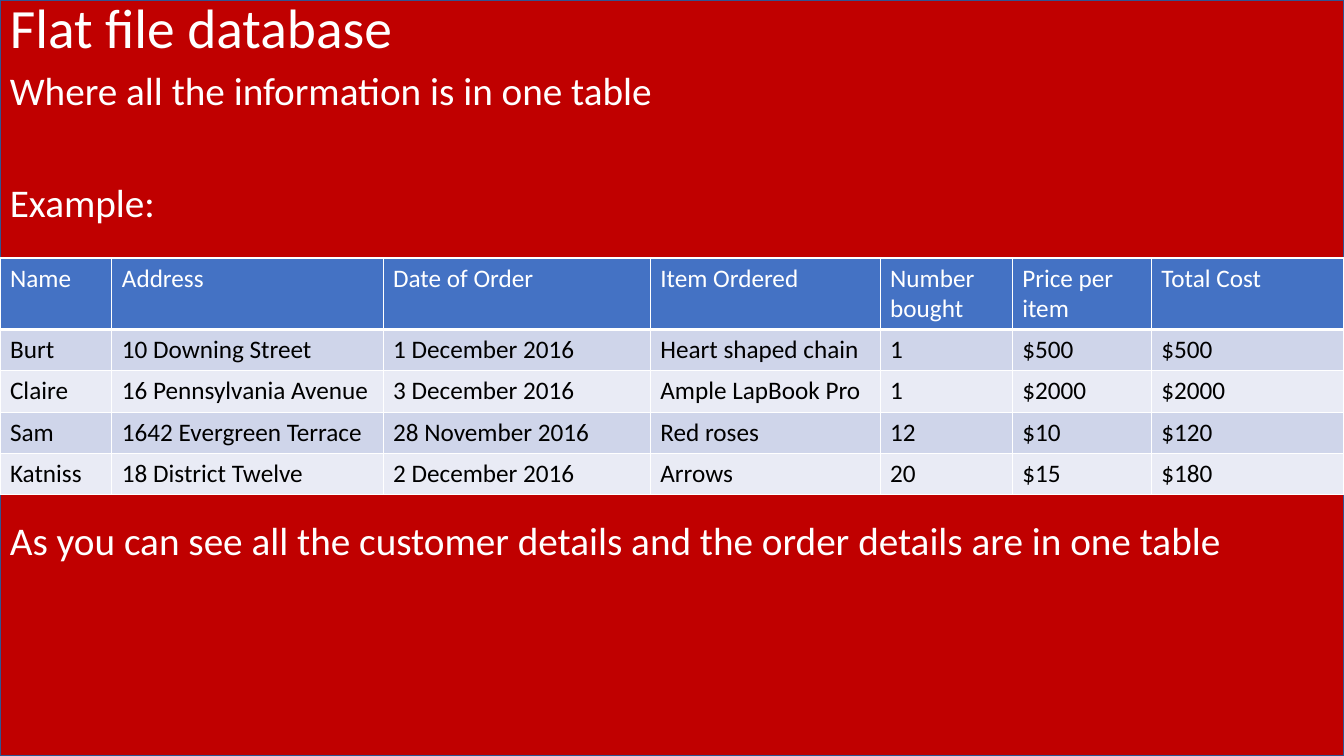
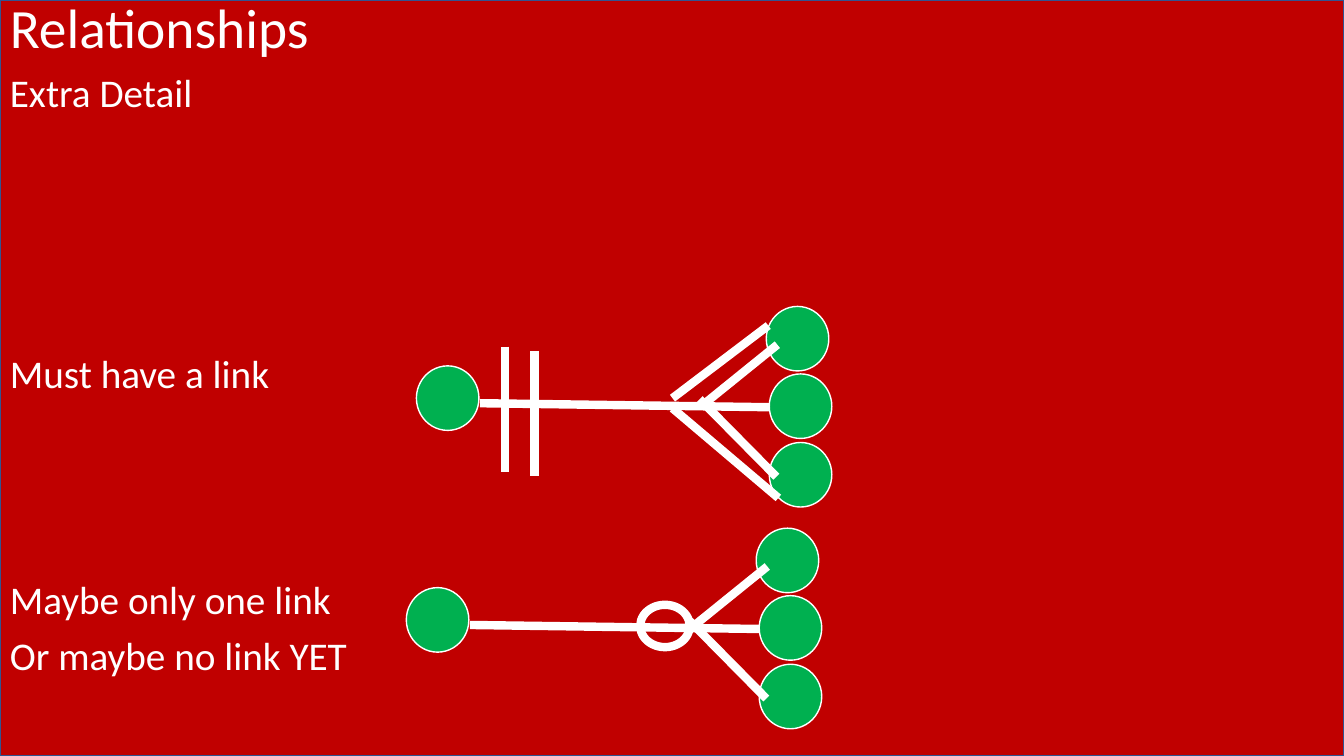
import pptx
import pptx.dml.color
import pptx.enum.shapes
import pptx.enum.text
import pptx.oxml
import pptx.oxml.ns
import pptx.util
from dataclasses import dataclass

Inches = pptx.util.Inches
Pt = pptx.util.Pt
SHAPE = pptx.enum.shapes.MSO_SHAPE


@dataclass(frozen=True)
class Theme:
    font: str = "Calibri"
    background: str = "C00000"
    frame: str = "325491"
    light: str = "FFFFFF"
    dark: str = "000000"
    header: str = "4472C4"
    bands: tuple = ("CFD5EA", "E9EBF5")
    record: str = "00B050"
    title_size: float = 39.6
    body_size: float = 28
    table_size: float = 18
    paragraph_gap: float = 10
    line_pitch: float = 40.2
    thin: float = 1
    thick: float = 6


THEME = Theme()
WIDTH, HEIGHT = 13.33, 7.5

# Customer orders
COLUMN_WIDTHS = (1.11, 2.69, 2.65, 2.28, 1.31, 1.38, 1.91)
ORDERS = (
    ("Name", "Address", "Date of Order", "Item Ordered", "Number bought",
     "Price per item", "Total Cost"),
    ("Burt", "10 Downing Street", "1 December 2016", "Heart shaped chain",
     "1", "$500", "$500"),
    ("Claire", "16 Pennsylvania Avenue", "3 December 2016", "Ample LapBook Pro",
     "1", "$2000", "$2000"),
    ("Sam", "1642 Evergreen Terrace", "28 November 2016", "Red roses",
     "12", "$10", "$120"),
    ("Katniss", "18 District Twelve", "2 December 2016", "Arrows",
     "20", "$15", "$180"),
)

# Parts of a relationship diagram: (x1, y1, x2, y2) for each line
LINK_LINES = (
    (6.98, 4.01, 7.71, 3.42),
    (4.76, 4.0, 7.63, 4.04),
    (6.94, 3.96, 7.7, 4.73),
)
MUST_LINES = (
    (6.67, 3.95, 7.62, 3.23),
    (6.67, 4.05, 7.72, 4.94),
    (5.01, 3.44, 5.01, 4.68),
    (5.3, 3.48, 5.3, 4.72),
)
RECORDS = ((4.13, 3.63), (7.6, 3.04), (7.63, 3.71), (7.63, 4.39))
MAYBE_SHIFT = (-0.1, 2.2)


def rgb(color):
    return pptx.dml.color.RGBColor.from_string(color)


def style_font(p, size, color):
    p.font.name = THEME.font
    p.font.size = Pt(size)
    p.font.color.rgb = rgb(color)


def add_shape(s, kind, left, top, width, height, fill, line, weight):
    sp = s.shapes.add_shape(kind, Inches(left), Inches(top), Inches(width), Inches(height))
    sp.shadow.inherit = False
    if fill:
        sp.fill.solid()
        sp.fill.fore_color.rgb = rgb(fill)
    else:
        sp.fill.background()
    sp.line.color.rgb = rgb(line)
    sp.line.width = Pt(weight)


def add_line(s, x1, y1, x2, y2):
    cxn = s.shapes.add_connector(pptx.enum.shapes.MSO_CONNECTOR.STRAIGHT,
                                 Inches(x1), Inches(y1), Inches(x2), Inches(y2))
    cxn.line.color.rgb = rgb(THEME.light)
    cxn.line.width = Pt(THEME.thick)
    cxn._element.spPr.append(pptx.oxml.parse_xml(
        "<a:effectLst %s/>" % pptx.oxml.ns.nsdecls("a")))


def add_text(s, top, height, size, lines):
    """Each line is (text, number of line pitches left open above it)."""
    tf = s.shapes.add_textbox(0, Inches(top), Inches(WIDTH), Inches(height)).text_frame
    tf.word_wrap = True
    for i, (text, skipped) in enumerate(lines):
        p = tf.paragraphs[0] if i == 0 else tf.add_paragraph()
        p.text = text
        p.line_spacing = 0.9
        if i:
            p.space_before = Pt(THEME.paragraph_gap + skipped * THEME.line_pitch)
        style_font(p, size, THEME.light)
    return tf


def add_slide(prs, title):
    s = prs.slides.add_slide(prs.slide_layouts[6])
    add_shape(s, SHAPE.RECTANGLE, 0, 0, WIDTH, HEIGHT,
              THEME.background, THEME.frame, THEME.thin)
    tf = add_text(s, 0, 0.61, THEME.title_size, [(title, 0)])
    tf.margin_top = tf.margin_bottom = 0
    tf.vertical_anchor = pptx.enum.text.MSO_ANCHOR.MIDDLE
    return s


def set_borders(cell, bottom):
    tcPr = cell._tc.get_or_add_tcPr()
    for side, weight in (("L", 1), ("R", 1), ("T", 1), ("B", bottom)):
        tcPr.append(pptx.oxml.parse_xml(
            '<a:ln%s %s w="%d"><a:solidFill><a:srgbClr val="%s"/></a:solidFill></a:ln%s>'
            % (side, pptx.oxml.ns.nsdecls("a"), Pt(weight), THEME.light, side)))


def add_orders_table(s, top):
    header_height, row_height = 0.71, 0.41
    height = header_height + row_height * (len(ORDERS) - 1)
    table = s.shapes.add_table(len(ORDERS), len(COLUMN_WIDTHS), 0, Inches(top),
                               Inches(WIDTH), Inches(height)).table
    for column, width in zip(table.columns, COLUMN_WIDTHS):
        column.width = Inches(width)
    for i, order in enumerate(ORDERS):
        is_header = i == 0
        table.rows[i].height = Inches(header_height if is_header else row_height)
        for j, text in enumerate(order):
            cell = table.cell(i, j)
            cell.text = text
            style_font(cell.text_frame.paragraphs[0], THEME.table_size,
                       THEME.light if is_header else THEME.dark)
            set_borders(cell, 3 if is_header else 1)
            cell.fill.solid()
            cell.fill.fore_color.rgb = rgb(
                THEME.header if is_header else THEME.bands[(i - 1) % 2])


def add_relationship(s, lines, dx=0, dy=0):
    for x, y in RECORDS:
        add_shape(s, SHAPE.OVAL, x + dx, y + dy, 0.62, 0.64,
                  THEME.record, THEME.light, THEME.thin)
    for x1, y1, x2, y2 in lines:
        add_line(s, x1 + dx, y1 + dy, x2 + dx, y2 + dy)


def flat_file_slide(prs):
    s = add_slide(prs, "Flat file database")
    add_text(s, 0.66, 6.84, THEME.body_size, [
        ("Where all the information is in one table", 0),
        ("Example:", 1),
        ("As you can see all the customer details and the order details are in one table", 5),
    ])
    add_orders_table(s, 2.56)


def relationships_slide(prs):
    s = add_slide(prs, "Relationships")
    add_text(s, 0.68, 6.82, THEME.body_size, [
        ("Extra Detail", 0),
        ("Must have a link", 4),
        ("Maybe only one link", 3),
        ("Or maybe no link YET", 0),
    ])
    add_relationship(s, LINK_LINES + MUST_LINES)
    add_relationship(s, LINK_LINES, *MAYBE_SHIFT)
    # Ring that marks an optional link
    add_shape(s, SHAPE.OVAL, 6.35, 6, 0.49, 0.42, None, THEME.light, THEME.thick)


def main():
    prs = pptx.Presentation()
    prs.slide_width = Inches(WIDTH)
    prs.slide_height = Inches(HEIGHT)
    flat_file_slide(prs)
    relationships_slide(prs)
    prs.save("out.pptx")


main()
